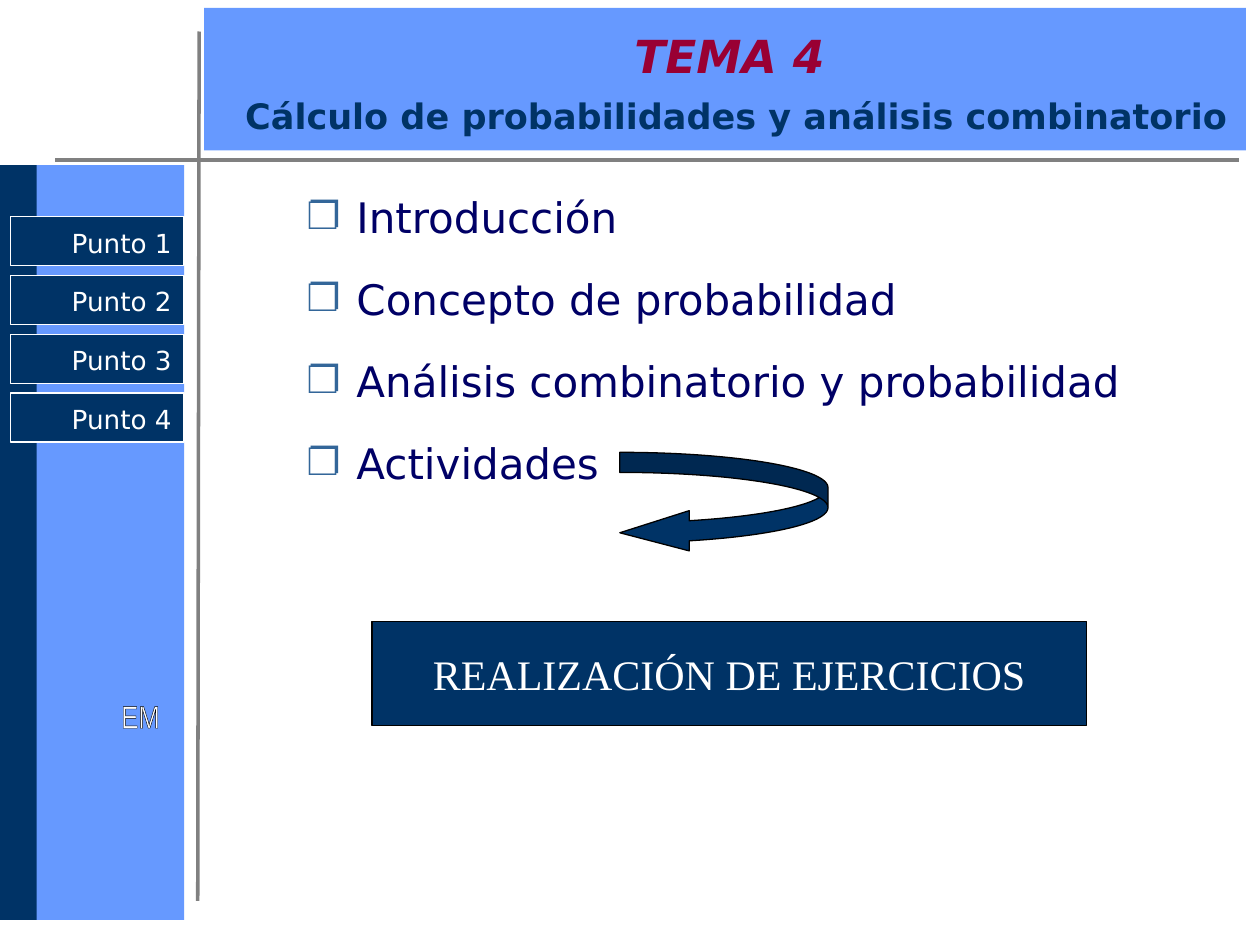
from dataclasses import dataclass

from pptx import Presentation
from pptx.dml.color import RGBColor
from pptx.enum.shapes import MSO_CONNECTOR as Connector, MSO_SHAPE as Shape
from pptx.enum.text import MSO_ANCHOR as Anchor, MSO_AUTO_SIZE as AutoSize, PP_ALIGN as Align
from pptx.oxml import parse_xml
from pptx.oxml.ns import nsdecls
from pptx.util import Pt


@dataclass(frozen=True)
class Theme:
    navy: str = "003366"
    sky: str = "6699FF"
    grey: str = "808080"
    white: str = "FFFFFF"
    black: str = "000000"
    crimson: str = "990033"
    list_text: str = "000066"
    bullet: str = "336699"
    silver: str = "707070"
    sans: str = "DejaVu Sans"
    serif: str = "Times New Roman"
    narrow: str = "Arial Narrow"
    heading_size: int = 26
    subtitle_size: int = 20
    body_size: int = 24
    initials_size: int = 18
    button_size: int = 15


theme = Theme()


def write(paragraph, text, *, size, color, font=theme.sans, align=Align.LEFT,
          bold=False, italic=False, before=0, after=0):
    paragraph.alignment = align
    paragraph.space_before, paragraph.space_after = Pt(before), Pt(after)
    run = paragraph.add_run()
    run.text = text
    run.font.name, run.font.size = font, Pt(size)
    run.font.bold, run.font.italic = bold, italic
    run.font.color.rgb = RGBColor.from_string(color)
    return run


def add_box(left, top, width, height, fill, line=None, kind=Shape.RECTANGLE):
    """Add a filled preset shape, outlined only when a line colour is given."""
    shape = slide.shapes.add_shape(kind, Pt(left), Pt(top), Pt(width), Pt(height))
    shape.shadow.inherit = False
    shape.fill.solid()
    shape.fill.fore_color.rgb = RGBColor.from_string(fill)
    if line:
        shape.line.color.rgb = RGBColor.from_string(line)
        shape.line.width = Pt(0.75)
    else:
        shape.line.fill.background()
    return shape


presentation = Presentation()
presentation.slide_width, presentation.slide_height = Pt(720), Pt(540)
slide = presentation.slides.add_slide(presentation.slide_layouts[1])
title, body = slide.shapes.title, slide.placeholders[1]

# Side bar, header band and crossing rules
add_box(19.44, 94.32, 85.9, 431.3, theme.sky)
add_box(0, 94.32, 20.9, 431.3, theme.navy)
add_box(116.64, 4.5, 595.4, 81.4, theme.sky)
for ends in [(31.7, 91.4, 707.8, 91.4), (113, 514.8, 113.8, 18)]:
    rule = slide.shapes.add_connector(Connector.STRAIGHT, *map(Pt, ends))
    rule.line.color.rgb = RGBColor.from_string(theme.grey)
    rule.line.width = Pt(2)
    rule.element.spPr.append(parse_xml(f"<a:effectLst {nsdecls('a')}/>"))

# Outlined initials in the side bar
initials = slide.shapes.add_textbox(Pt(14.4), Pt(394.6), Pt(131.8), Pt(131))
initials.text_frame.word_wrap = False
run = write(initials.text_frame.paragraphs[0], "EM", size=theme.initials_size,
            color=theme.white, font=theme.narrow, align=Align.CENTER)
run.font.fill.background()
properties = run.font._element
properties.remove(properties[0])
stops = "".join(
    f'<a:gs pos="{position}"><a:srgbClr val="{color}"/></a:gs>'
    for position, color in [(0, theme.silver), (50000, theme.white), (100000, theme.silver)])
properties.insert(0, parse_xml(
    f"<a:gradFill {nsdecls('a')}><a:gsLst>{stops}</a:gsLst>"
    '<a:lin ang="2700000" scaled="1"/></a:gradFill>'))
properties.insert(0, parse_xml(
    f'<a:ln {nsdecls("a")} w="9525"><a:solidFill><a:srgbClr val="{theme.black}"/>'
    "</a:solidFill></a:ln>"))

# Title and list, brought in front of the header band
for placeholder, (left, top, width, height) in [
    (title, (123.1, 19.4, 587.5, 55.4)),
    (body, (139, 105.8, 551.5, 398.9)),
]:
    placeholder.left, placeholder.top = Pt(left), Pt(top)
    placeholder.width, placeholder.height = Pt(width), Pt(height)
    placeholder.text_frame.word_wrap = True
    placeholder.text_frame.auto_size = AutoSize.NONE
    placeholder.element.getparent().append(placeholder.element)

frame = title.text_frame
frame.vertical_anchor = Anchor.MIDDLE
frame.margin_left = frame.margin_right = 0
write(frame.paragraphs[0], "TEMA 4", size=theme.heading_size, color=theme.crimson,
      align=Align.CENTER, bold=True, italic=True)
subtitle = frame.add_paragraph()
subtitle._p.get_or_add_pPr().set("marL", str(Pt(8)))
write(subtitle, "Cálculo de probabilidades y análisis combinatorio",
      size=theme.subtitle_size, color=theme.navy, align=Align.CENTER, bold=True, before=7)

frame = body.text_frame
frame.vertical_anchor = Anchor.TOP
topics = ["Introducción", "Concepto de probabilidad",
          "Análisis combinatorio y probabilidad", "Actividades"]
for index, topic in enumerate(topics):
    paragraph = frame.add_paragraph() if index else frame.paragraphs[0]
    paragraph.level = 1
    layout = paragraph._p.get_or_add_pPr()
    layout.set("marL", str(Pt(57.5)))
    layout.set("indent", str(Pt(-28.5)))
    for bullet in (f'<a:buClr {nsdecls("a")}><a:srgbClr val="{theme.bullet}"/></a:buClr>',
                   f'<a:buSzPct {nsdecls("a")} val="90000"/>',
                   f'<a:buFont {nsdecls("a")} typeface="{theme.sans}"/>',
                   f'<a:buChar {nsdecls("a")} char="❐"/>'):
        layout.append(parse_xml(bullet))
    write(paragraph, topic, size=theme.body_size, color=theme.list_text,
          before=9 if index else 0, after=9)

# Exercise box and the arrow leading to it
exercises = add_box(212.6, 355, 408.2, 59.8, theme.navy, theme.black)
exercises.text_frame.word_wrap = False
exercises.text_frame.vertical_anchor = Anchor.MIDDLE
write(exercises.text_frame.paragraphs[0], "REALIZACIÓN DE EJERCICIOS",
      size=theme.body_size, color=theme.white, font=theme.serif, align=Align.CENTER)

arrow = add_box(354.2, 258.5, 119, 57.5, theme.navy, theme.black, Shape.CURVED_LEFT_ARROW)
for index, ratio in enumerate([0.2, 0.4, 0.69]):
    arrow.adjustments[index] = ratio

# Navigation buttons
for index in range(4):
    button = add_box(5.8, 123.8 + 33.6 * index, 99.4, 28.1, theme.navy, theme.white)
    frame = button.text_frame
    frame.vertical_anchor = Anchor.TOP
    frame.margin_top = Pt(5.8)
    write(frame.paragraphs[0], f"Punto {index + 1}", size=theme.button_size,
          color=theme.white, align=Align.RIGHT)

presentation.save("out.pptx")
